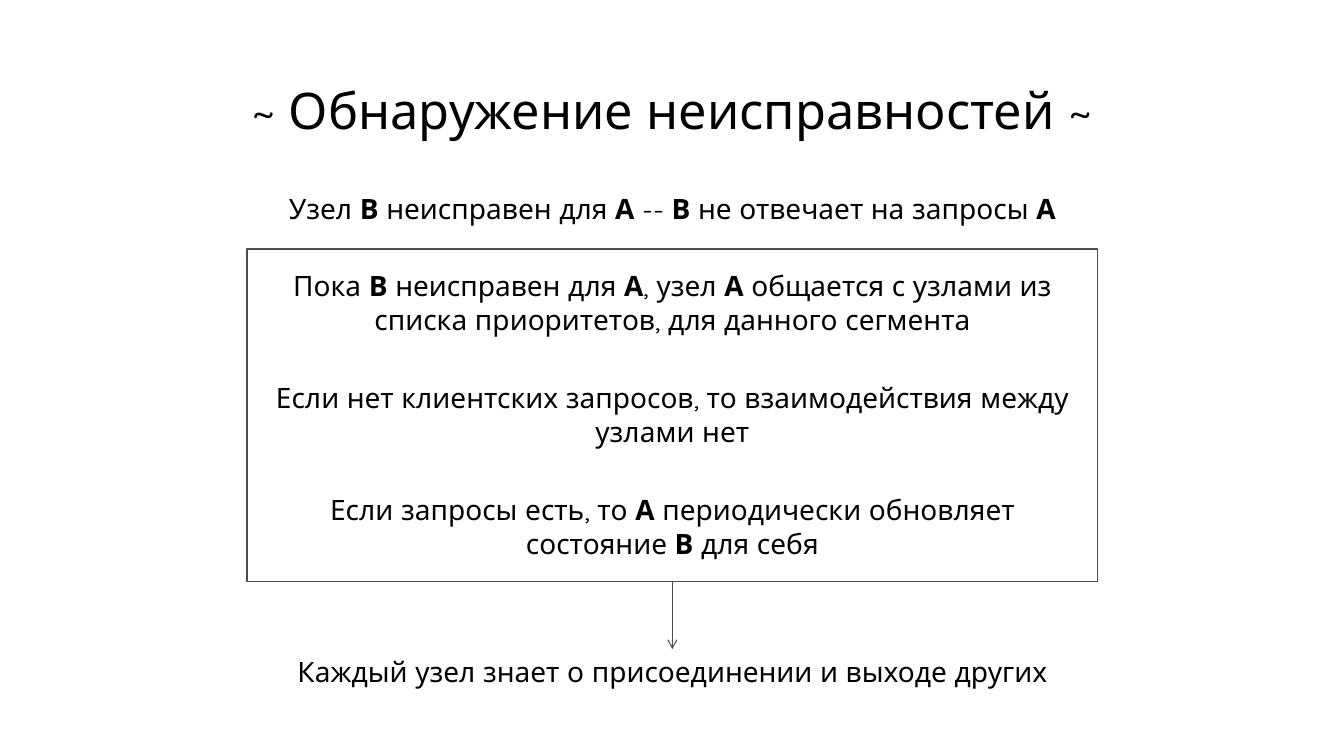
"""Build the slide on failure detection between nodes."""
from dataclasses import dataclass

from lxml.etree import SubElement
from pptx import Presentation
from pptx.dml.color import RGBColor
from pptx.enum.shapes import MSO_CONNECTOR, MSO_SHAPE
from pptx.enum.text import MSO_ANCHOR, MSO_AUTO_SIZE, PP_ALIGN
from pptx.oxml.ns import qn
from pptx.shapes.base import BaseShape
from pptx.slide import Slide
from pptx.util import Pt

FONT = "Quicksand"
BLACK, WHITE, GREY = "000000", "FFFFFF", "4D4D4D"
LEFT, WIDTH = 176.4, 607.7
RULES_TOP, RULES_HEIGHT = 177.8, 237.6
FIRST_RULE_TOP, RULE_STEP = 188.6, 80
CLOSING_TOP = 463.7
LINE_HEIGHT, PADDING = 24, 7.5


@dataclass(frozen=True)
class Statement:
    """Text with *bold* node names, its top and its number of lines."""

    text: str
    top: float
    lines: int = 1


RULES = (
    "Пока *В* неисправен для *А*, узел *А* общается с узлами из списка приоритетов, для данного сегмента",
    "Если нет клиентских запросов, то взаимодействия между узлами нет",
    "Если запросы есть, то *А* периодически обновляет состояние *В* для себя",
)
STATEMENTS = (
    Statement("Узел *В* неисправен для *А* -- *В* не отвечает на запросы *А*", 133.2),
    *(Statement(rule, FIRST_RULE_TOP + i * RULE_STEP, 2) for i, rule in enumerate(RULES)),
    Statement("Каждый узел знает о присоединении и выходе других", CLOSING_TOP),
)


def color(value: str) -> RGBColor:
    """Turn a hex string into a colour."""
    return RGBColor.from_string(value)


def write(shape: BaseShape, text: str, size: float) -> None:
    """Write one centred paragraph, with the parts between asterisks in bold."""
    paragraph = shape.text_frame.paragraphs[0]
    paragraph.alignment = PP_ALIGN.CENTER
    paragraph.font.name = FONT
    paragraph.font.size = Pt(size)
    paragraph.font.color.rgb = color(BLACK)
    for i, part in enumerate(text.split("*")):
        if part:
            run = paragraph.add_run()
            run.text = part
            if i % 2:
                run.font.bold = True


def add_title(slide: Slide, text: str) -> None:
    """Place and format the title."""
    title = slide.shapes.title
    title.left, title.top, title.width, title.height = Pt(66), Pt(28.8), Pt(828), Pt(104.4)
    title.text_frame.vertical_anchor = MSO_ANCHOR.MIDDLE
    write(title, text, 36)
    title.text_frame.paragraphs[0].line_spacing = 0.9


def add_frame(slide: Slide) -> BaseShape:
    """Draw the frame around the rules."""
    frame = slide.shapes.add_shape(
        MSO_SHAPE.RECTANGLE, Pt(LEFT), Pt(RULES_TOP), Pt(WIDTH), Pt(RULES_HEIGHT)
    )
    frame.shadow.inherit = False
    frame.fill.solid()
    frame.fill.fore_color.rgb = color(WHITE)
    frame.line.color.rgb = color(GREY)
    frame.line.width = Pt(1)
    return frame


def add_statement(slide: Slide, statement: Statement) -> BaseShape:
    """Add one statement as a text box."""
    height = statement.lines * LINE_HEIGHT + PADDING
    box = slide.shapes.add_textbox(Pt(LEFT), Pt(statement.top), Pt(WIDTH), Pt(height))
    box.text_frame.word_wrap = True
    box.text_frame.auto_size = MSO_AUTO_SIZE.SHAPE_TO_FIT_TEXT
    write(box, statement.text, 20)
    return box


def add_arrow(slide: Slide, start: BaseShape, end: BaseShape) -> None:
    """Join the bottom of one shape to the top of another with an arrow."""
    arrow = slide.shapes.add_connector(MSO_CONNECTOR.STRAIGHT, 0, 0, 0, 0)
    arrow.begin_connect(start, 2)
    arrow.end_connect(end, 0)
    arrow.line.color.rgb = color(GREY)
    arrow.line.width = Pt(0.75)
    properties = arrow.element.spPr
    SubElement(properties.find(qn("a:ln")), qn("a:tailEnd"), type="arrow")
    SubElement(properties, qn("a:effectLst"))


def main() -> None:
    """Build and save the presentation."""
    deck = Presentation()
    deck.slide_width, deck.slide_height = Pt(960), Pt(540)
    slide = deck.slides.add_slide(deck.slide_layouts[5])
    frame = add_frame(slide)
    add_title(slide, "~ Обнаружение неисправностей ~")
    *_, closing = [add_statement(slide, statement) for statement in STATEMENTS]
    add_arrow(slide, frame, closing)
    deck.save("out.pptx")


if __name__ == "__main__":
    main()
